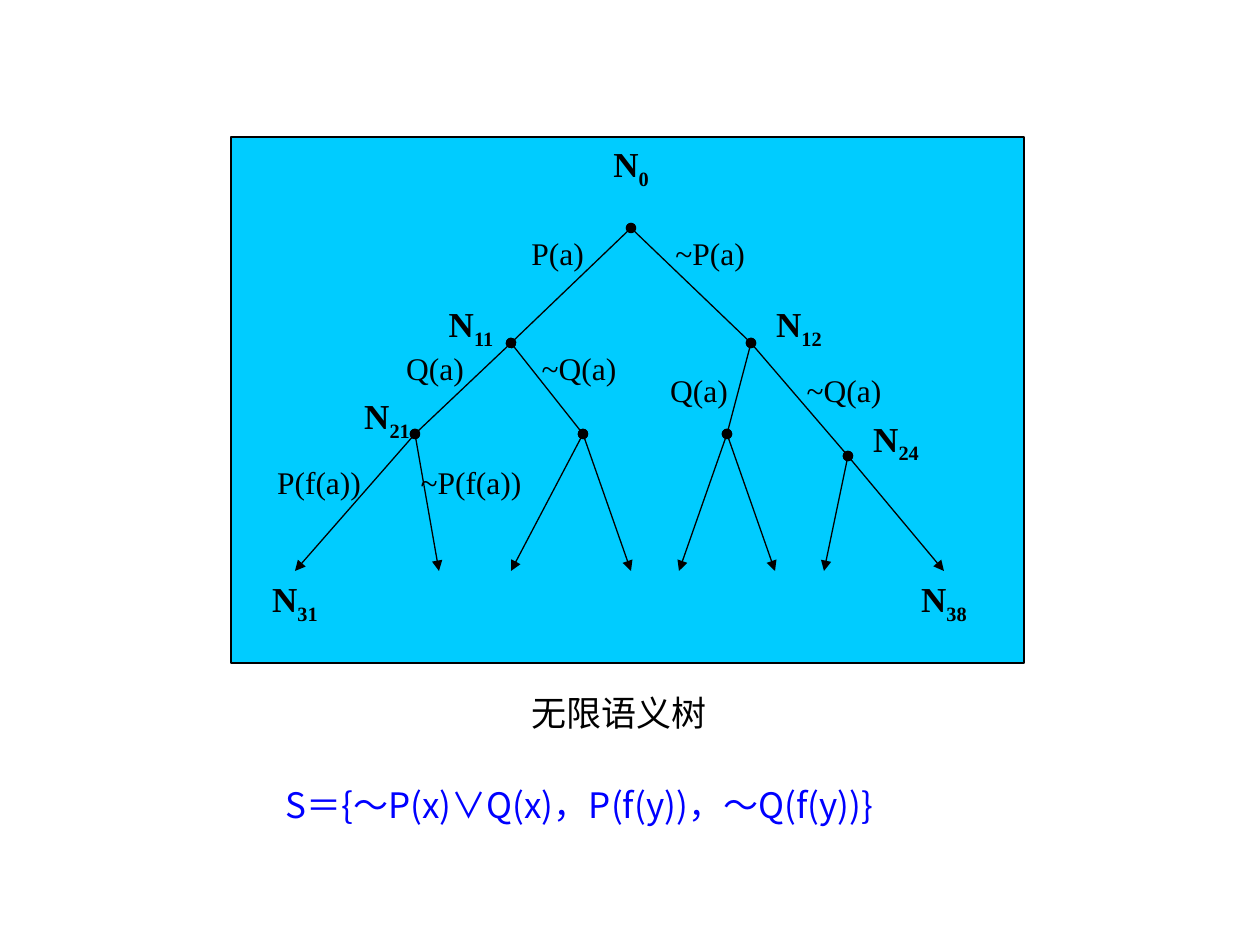
from lxml.etree import SubElement
from pptx import Presentation
from pptx.dml.color import RGBColor
from pptx.enum.shapes import MSO_CONNECTOR as Conn, MSO_SHAPE as Form
from pptx.enum.text import MSO_AUTO_SIZE as Fit, PP_ALIGN as Align
from pptx.oxml.ns import qn
from pptx.util import Pt

BLACK = RGBColor(0, 0, 0)
BLUE = RGBColor(0, 0, 255)
CYAN = RGBColor(0, 204, 255)
SERIF = "Times New Roman"
SANS = "Noto Sans CJK SC"
SCALE = 914400 / 126
HIGH = 68
LEAF = 571

PANEL = (231, 137, 793, 526)
NODES = {
    "0": (631, 228),
    "11": (511, 343), "12": (751, 343),
    "21": (415, 434), "22": (583, 434), "23": (727, 434), "24": (848, 456),
}
BRANCH = {"0": ("11", "12"), "11": ("21", "22"), "12": ("23", "24")}
LEAVES = {"21": (295, 439), "22": (511, 631), "23": (679, 775), "24": (824, 944)}
NAMES = [
    ("0", 583, 136), ("11", 423, 296), ("12", 751, 296), ("21", 339, 388),
    ("24", 848, 411), ("31", 247, 571), ("38", 896, 571),
]
EDGES = [
    ("P(a)", 519, 228, 96, Align.JUSTIFY), ("~P(a)", 663, 228, 120, Align.JUSTIFY),
    ("Q(a)", 375, 343, 120, Align.CENTER), ("~Q(a)", 519, 343, 120, Align.CENTER),
    ("Q(a)", 639, 365, 120, Align.CENTER), ("~Q(a)", 784, 365, 120, Align.CENTER),
    ("P(f(a))", 247, 457, 144, Align.CENTER), ("~P(f(a))", 399, 457, 144, Align.CENTER),
]
CAPTION = ("无限语义树", (343, 685, 553, HIGH))
CLAUSES = ("S＝{～P(x)∨Q(x)，P(f(y))，～Q(f(y))}", (273, 777, 672, 55))

NAME = {"size": Pt(20), "name": SERIF, "bold": True}
EDGE = {"size": Pt(18), "name": SERIF}
TITLE = {"size": Pt(20), "name": SERIF}
CLAUSE = {"size": Pt(20), "name": SANS}


def px(*nums):
    return [round(num * SCALE) for num in nums]


def add_run(para, text, style, color):
    run = para.add_run()
    run.text = text
    for key, value in style.items():
        setattr(run.font, key, value)
    run.font.color.rgb = color
    props = run._r.get_or_add_rPr()
    SubElement(props, qn("a:ea")).set("typeface", SANS)
    return props


def add_text(shapes, text, box, style, align=Align.CENTER, color=BLACK, sub=""):
    frame = shapes.add_textbox(*px(*box)).text_frame
    frame.word_wrap = True
    para = frame.paragraphs[0]
    para.alignment = align
    add_run(para, text, style, color)
    if sub:
        add_run(para, sub, style, color).set("baseline", "-25000")
    return frame


def add_edge(shapes, start, end, tip):
    edge = shapes.add_connector(Conn.STRAIGHT, *px(*start, *end))
    edge.line.color.rgb = BLACK
    edge.line.width = Pt(0.75)
    line = edge.line._get_or_add_ln()
    for tag, kind in (("a:headEnd", "oval"), ("a:tailEnd", tip)):
        SubElement(line, qn(tag)).set("type", kind)
    SubElement(edge._element.spPr, qn("a:effectLst"))


def main():
    deck = Presentation()
    deck.slide_width, deck.slide_height = px(1260, 945)
    slide = deck.slides.add_slide(deck.slide_layouts[6])
    tree = slide.shapes.add_group_shape().shapes

    panel = tree.add_shape(Form.RECTANGLE, *px(*PANEL))
    panel.shadow.inherit = False
    panel.fill.solid()
    panel.fill.fore_color.rgb = CYAN
    panel.line.color.rgb = BLACK
    panel.line.width = Pt(0.75)

    for top, kids in BRANCH.items():
        for kid in kids:
            add_edge(tree, NODES[top], NODES[kid], "oval")
    for top, ends in LEAVES.items():
        for left in ends:
            add_edge(tree, NODES[top], (left, LEAF), "triangle")

    for sub, left, top in NAMES:
        add_text(tree, "N", (left, top, 96, HIGH), NAME, sub=sub)
    for text, left, top, wide, align in EDGES:
        add_text(tree, text, (left, top, wide, HIGH), EDGE, align)

    add_text(tree, *CAPTION, TITLE)
    frame = add_text(slide.shapes, *CLAUSES, CLAUSE, Align.LEFT, BLUE)
    frame.auto_size = Fit.SHAPE_TO_FIT_TEXT
    deck.save("out.pptx")


if __name__ == "__main__":
    main()
